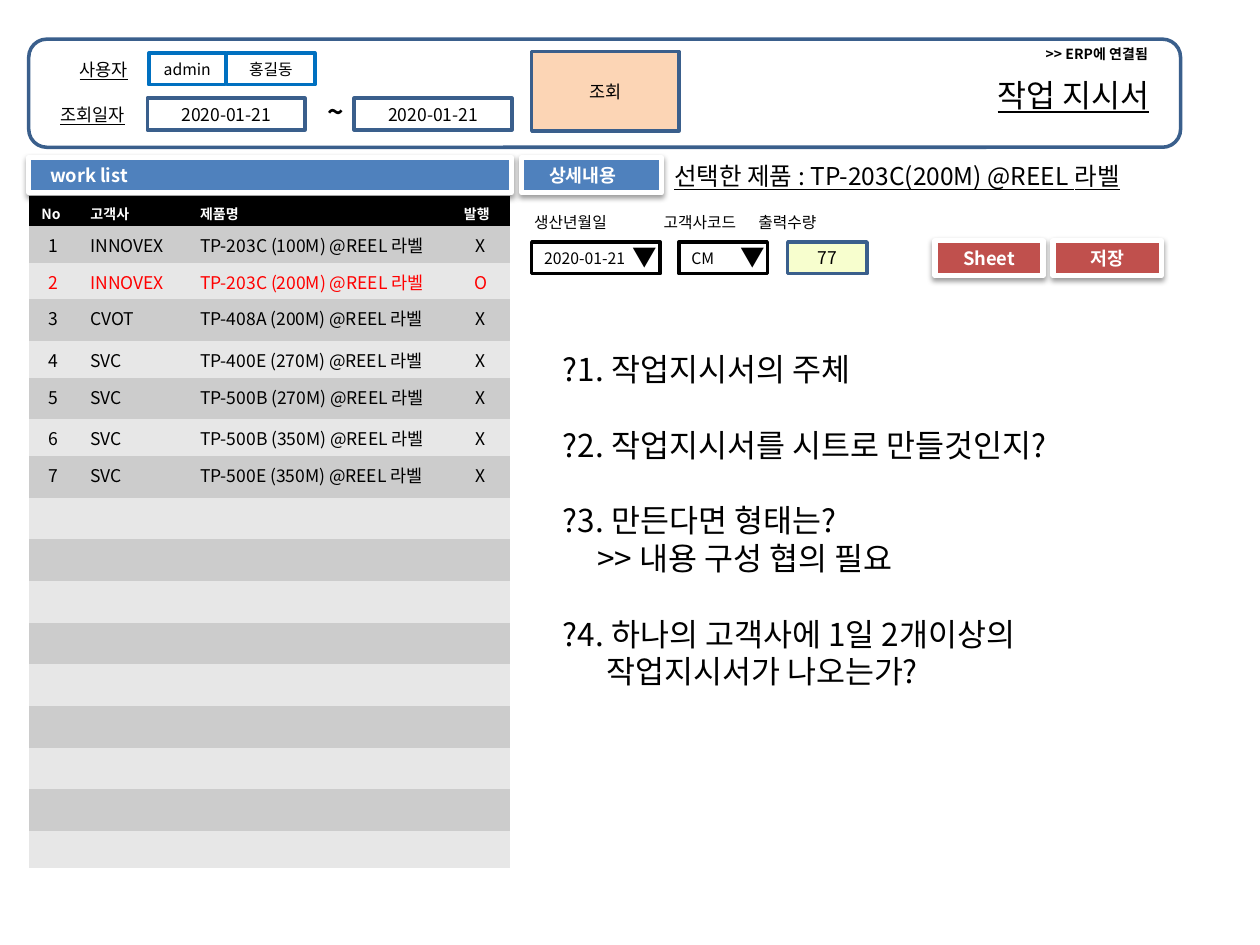
from dataclasses import dataclass

import pptx
import pptx.dml.color
import pptx.enum.shapes
import pptx.enum.text
import pptx.oxml
import pptx.oxml.ns
import pptx.util
from pptx.util import Cm, Pt

SHAPE = pptx.enum.shapes.MSO_SHAPE
ALIGN = pptx.enum.text.PP_ALIGN
MIDDLE = pptx.enum.text.MSO_ANCHOR.MIDDLE


@dataclass(frozen=True)
class Theme:
    font: str = "Noto Sans CJK KR"
    black: str = "000000"
    white: str = "FFFFFF"
    red: str = "FF0000"
    navy: str = "3A5F8C"
    sky: str = "0070C0"
    blue: str = "4F81BD"
    brick: str = "C0504D"
    peach: str = "FCD5B5"
    lemon: str = "F7FECE"
    bands: tuple = ("CCCCCC", "E7E7E7")
    tiny: float = 8
    small: float = 9
    body: float = 10
    bar: float = 10.5
    product: float = 14
    tilde: float = 16
    large: float = 18


T = Theme()

PLAIN_TABLE_STYLE = "{2D5ABB26-0587-4C30-8999-92F81FD0307C}"
ROW_HEIGHTS = [0.58, 0.74, 0.74, 0.84, 0.74, 0.84, 0.74] + [0.84] * 9 + [0.74]
COL_WIDTHS = [0.99, 2.21, 1.22, 4.1, 1.18]
WORK_LIST = [
    ("1", "INNOVEX", "TP-203C (100M) @REEL 라벨", "X"),
    ("2", "INNOVEX", "TP-203C (200M) @REEL 라벨", "O"),
    ("3", "CVOT", "TP-408A (200M) @REEL 라벨", "X"),
    ("4", "SVC", "TP-400E (270M) @REEL 라벨", "X"),
    ("5", "SVC", "TP-500B (270M) @REEL 라벨", "X"),
    ("6", "SVC", "TP-500B (350M) @REEL 라벨", "X"),
    ("7", "SVC", "TP-500E (350M) @REEL 라벨", "X"),
]
QUESTIONS = [
    ("?1. 작업지시서의 주체", 0, False),
    ("?2. 작업지시서를 시트로 만들것인지?", 0, True),
    ("?3. 만든다면 형태는?", 0, True),
    (">> 내용 구성 협의 필요", 0.69, False),
    ("?4. 하나의 고객사에 1일 2개이상의", 0, True),
    ("작업지시서가 나오는가?", 0.87, False),
]


def rgb(color):
    return pptx.dml.color.RGBColor.from_string(color)


def style(p, size, color=T.black, bold=False, underline=False, align=ALIGN.LEFT):
    p.alignment = align
    for r in p.runs:
        r.font.size = Pt(size)
        r.font.name = T.font
        r.font.bold = bold
        r.font.underline = underline
        r.font.color.rgb = rgb(color)
        ea = pptx.oxml.parse_xml(
            f'<a:ea {pptx.oxml.ns.nsdecls("a")} typeface="{T.font}"/>')
        r.font._element.find(pptx.oxml.ns.qn("a:latin")).addnext(ea)


def indent(p, width):
    pPr = p._p.get_or_add_pPr()
    pPr.set("marL", str(Cm(width)))
    pPr.set("indent", "0")


def add_text(s, text, x, y, w, h, size, **look):
    tb = s.shapes.add_textbox(Cm(x), Cm(y), Cm(w), Cm(h))
    tb.text_frame.word_wrap = False
    p = tb.text_frame.paragraphs[0]
    p.text = text
    style(p, size, **look)


def add_box(s, text, x, y, w, h, size=T.body, fill=None, line=T.navy, width=2,
            shape=SHAPE.RECTANGLE, align=ALIGN.CENTER, **look):
    sp = s.shapes.add_shape(shape, Cm(x), Cm(y), Cm(w), Cm(h))
    sp.shadow.inherit = False
    if fill:
        sp.fill.solid()
        sp.fill.fore_color.rgb = rgb(fill)
    else:
        sp.fill.background()
    sp.line.color.rgb = rgb(line)
    sp.line.width = Pt(width)
    tf = sp.text_frame
    tf.word_wrap = False
    tf.vertical_anchor = MIDDLE
    tf.paragraphs[0].text = text
    style(tf.paragraphs[0], size, align=align, **look)
    return sp


def add_bar(s, text, x, y, w, fill, align=ALIGN.CENTER, inset=0):
    sp = add_box(s, text, x, y, w, 0.71, T.bar, fill, T.white, 3,
                 align=align, color=T.white, bold=True)
    indent(sp.text_frame.paragraphs[0], inset)
    effects = sp._element.spPr.find(pptx.oxml.ns.qn("a:effectLst"))
    effects.append(pptx.oxml.parse_xml(
        f'<a:outerShdw {pptx.oxml.ns.nsdecls("a")} blurRad="{Pt(3.1)}" '
        f'dist="{Pt(1.6)}" dir="5400000" rotWithShape="0">'
        f'<a:srgbClr val="{T.black}"><a:alpha val="38000"/></a:srgbClr>'
        '</a:outerShdw>'))


def add_dropdown(s, text, x, w):
    add_box(s, text, x, 4.88, w, 0.64, T.small, T.white, T.black, align=ALIGN.LEFT)
    add_text(s, "▼", x + w - 0.8, 4.75, 0.99, 0.86, T.product)


def fill_cell(cell, text, fill, size, **look):
    cell.fill.solid()
    cell.fill.fore_color.rgb = rgb(fill)
    p = cell.text_frame.paragraphs[0]
    if text:
        p.text = text
        style(p, size, **look)
    else:
        p._p.get_or_add_endParaRPr().set("sz", str(size * 100))


def add_work_table(s):
    frame = s.shapes.add_table(len(ROW_HEIGHTS), len(COL_WIDTHS), Cm(0.58), Cm(3.96),
                               Cm(sum(COL_WIDTHS)), Cm(sum(ROW_HEIGHTS)))
    table = frame.table
    table._tbl.tblPr.find(pptx.oxml.ns.qn("a:tableStyleId")).text = PLAIN_TABLE_STYLE
    for col, width in zip(table.columns, COL_WIDTHS):
        col.width = Cm(width)
    for i, height in enumerate(ROW_HEIGHTS):
        table.rows[i].height = Cm(height)
        filled = i <= len(WORK_LIST)
        first = 2 if filled else 3
        table.cell(i, first).merge(table.cell(i, first + 1))
        columns = (0, 1, 2, 4) if filled else (0, 1, 2, 3)
        if i == 0:
            for j, text in zip(columns, ("No", "고객사", "제품명", "발행")):
                fill_cell(table.cell(i, j), text, T.black, T.tiny,
                          color=T.white, bold=True)
            continue
        band = T.bands[(i - 1) % 2]
        values = WORK_LIST[i - 1] if filled else ("",) * 4
        color = T.red if values[3] == "O" else T.black
        for j, text in zip(columns, values):
            fill_cell(table.cell(i, j), text, band, T.body, color=color,
                      align=ALIGN.CENTER if j in (0, 4) else ALIGN.LEFT)


def add_questions(s):
    tb = s.shapes.add_textbox(Cm(11.1), Cm(6.93), Cm(11.25), Cm(8.71))
    tf = tb.text_frame
    tf.word_wrap = False
    for i, (text, inset, gap) in enumerate(QUESTIONS):
        p = tf.add_paragraph() if i else tf.paragraphs[0]
        p.text = text
        style(p, T.large)
        p.line_spacing = Pt(T.large * 1.2)
        p.space_before = Pt(T.large * 1.2 if gap else 0)
        indent(p, inset)


def add_header(s):
    add_box(s, "", 0.58, 0.79, 23.22, 2.18, shape=SHAPE.ROUNDED_RECTANGLE)
    add_text(s, "사용자", 1.19, 1.07, 1.8, 0.69, T.body, underline=True, align=ALIGN.CENTER)
    add_text(s, "조회일자", 0.97, 1.98, 1.93, 0.69, T.body, underline=True)
    add_box(s, "홍길동", 4.57, 1.07, 1.78, 0.64, T.small, T.white, T.sky)
    add_box(s, "admin", 3, 1.07, 1.55, 0.64, T.small, T.white, T.sky)
    for x in (2.97, 7.14):
        add_box(s, "2020-01-21", x, 1.98, 3.18, 0.64)
    add_text(s, "~", 6.35, 1.78, 0.58, 0.94, T.tilde, bold=True, align=ALIGN.CENTER)
    add_box(s, "조회", 10.72, 1.04, 2.97, 1.6, fill=T.peach)
    add_text(s, "작업 지시서", 19.86, 1.4, 3.94, 1.02, T.large, underline=True)
    add_text(s, ">> ERP에 연결됨", 20.83, 0.79, 2.77, 0.61, T.tiny, bold=True)


def add_details(s):
    add_bar(s, "상세내용", 10.52, 3.18, 2.82, T.blue, ALIGN.LEFT, 0.3)
    add_text(s, "선택한 제품 : TP-203C(200M) @REEL 라벨", 13.34, 3.12, 10.03, 0.86,
             T.product, underline=True)
    for text, x in (("생산년월일", 10.52), ("고객사코드", 13.13), ("출력수량", 15.04)):
        add_text(s, text, x, 4.17, 2, 0.64, T.small)
    add_dropdown(s, "2020-01-21", 10.72, 2.59)
    add_dropdown(s, "CM", 13.69, 1.78)
    add_box(s, "77", 15.88, 4.88, 1.6, 0.64, fill=T.lemon)
    for text, x in (("Sheet", 18.85), ("저장", 21.23)):
        add_bar(s, text, x, 4.85, 2.18, T.brick)
    add_questions(s)


def main():
    prs = pptx.Presentation()
    prs.slide_width, prs.slide_height = Cm(25.4), Cm(19.05)
    s = prs.slides.add_slide(prs.slide_layouts[6])
    add_header(s)
    add_bar(s, "work list", 0.58, 3.18, 9.73, T.blue, ALIGN.LEFT, 0.18)
    add_work_table(s)
    add_details(s)
    prs.save("out.pptx")


if __name__ == "__main__":
    main()
